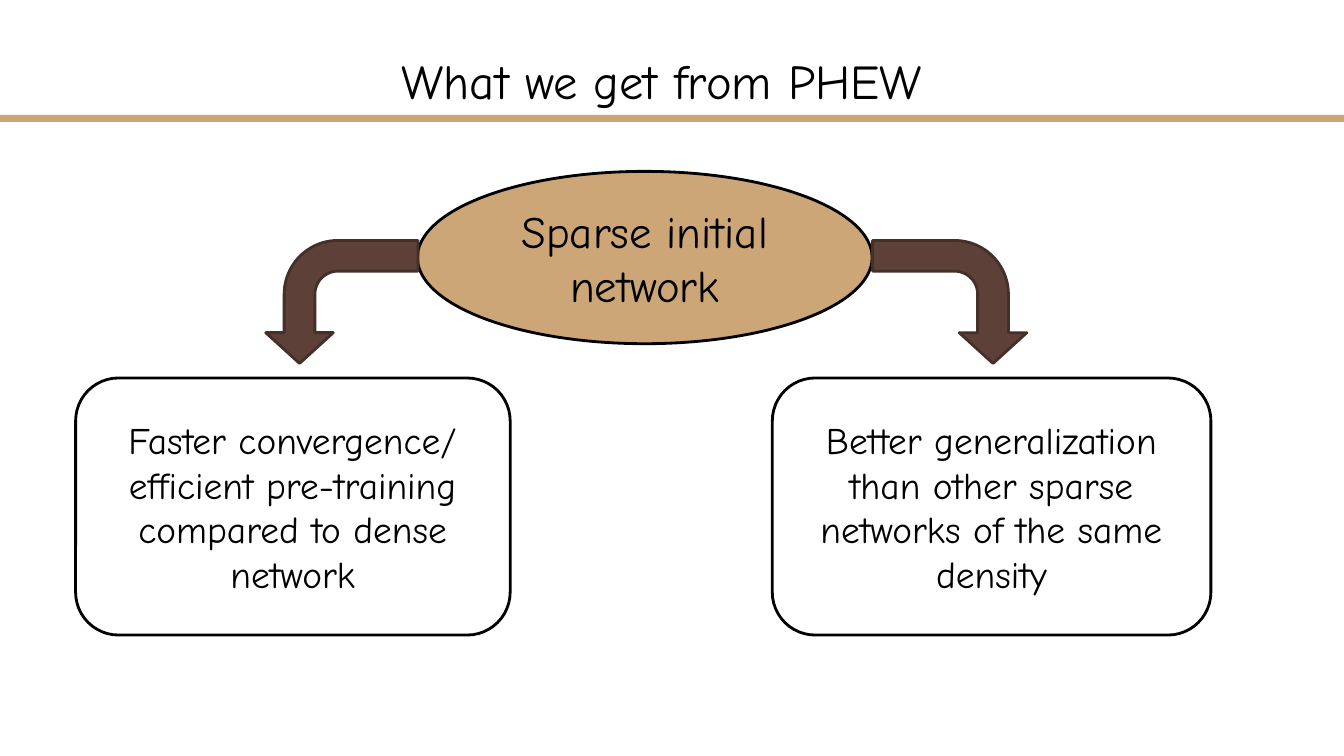
from pptx import Presentation
from pptx.dml.color import RGBColor
from pptx.enum.shapes import MSO_SHAPE
from pptx.enum.text import MSO_ANCHOR, PP_ALIGN
from pptx.oxml.ns import qn
from pptx.util import Inches, Pt

FONT = "Comic Neue"
TAN, BROWN, DARK_BROWN = "CCA677", "5D4037", "452F29"
BLACK, WHITE = "000000", "FFFFFF"
SLIDE_WIDTH, SLIDE_HEIGHT = 13.33, 7.5

TITLE = "What we get from PHEW"
SOURCE = "Sparse initial network"
BENEFITS = [
    {"text": "Faster convergence/\nefficient pre-training compared to dense network",
     "left": 0.75, "width": 4.31,
     "arrow": (2.78, 2.24, 1.22, 1.51), "flips": ("flipH",)},
    {"text": "Better generalization than other sparse networks of the same density",
     "left": 7.66, "width": 4.35,
     "arrow": (8.81, 2.23, 1.22, 1.53), "flips": ("flipH", "flipV")},
]
BENEFIT_TOP, BENEFIT_HEIGHT = 3.75, 2.55
ARROW_BENDS = (0.25, 0.275, 0.25, 0.4375)


def color(hex_code):
    return RGBColor.from_string(hex_code)


def write(shape, text, size, anchor=MSO_ANCHOR.MIDDLE, inset=None):
    frame = shape.text_frame
    frame.word_wrap = True
    frame.vertical_anchor = anchor
    if inset is not None:
        frame.margin_left = frame.margin_right = Inches(inset)
        frame.margin_top = frame.margin_bottom = Inches(inset)
    frame.text = text
    for paragraph in frame.paragraphs:
        paragraph.alignment = PP_ALIGN.CENTER
        paragraph.font.name = FONT
        paragraph.font.size = Pt(size)
        paragraph.font.color.rgb = color(BLACK)


def draw(preset, box, fill, line=None):
    shape = slide.shapes.add_shape(preset, *map(Inches, box))
    shape.shadow.inherit = False
    shape.fill.solid()
    shape.fill.fore_color.rgb = color(fill)
    if line:
        shape.line.color.rgb = color(line)
        shape.line.width = Pt(2)
    else:
        shape.line.fill.background()
    return shape


def draw_bent_arrow(box, flips):
    arrow = draw(MSO_SHAPE.BENT_ARROW, box, BROWN, DARK_BROWN)
    for index, bend in enumerate(ARROW_BENDS):
        arrow.adjustments[index] = bend
    arrow.rotation = 270
    for flip in flips:
        arrow._element.spPr.find(qn("a:xfrm")).set(flip, "1")


deck = Presentation()
deck.slide_width, deck.slide_height = Inches(SLIDE_WIDTH), Inches(SLIDE_HEIGHT)
slide = deck.slides.add_slide(deck.slide_layouts[6])

draw(MSO_SHAPE.RECTANGLE, (0, 1.14, SLIDE_WIDTH, 0.07), TAN)
title = slide.shapes.add_textbox(*map(Inches, (0, 0.16, 13.13, 1.05)))
write(title, TITLE, 34.7, anchor=MSO_ANCHOR.BOTTOM, inset=0.13)

source = draw(MSO_SHAPE.OVAL, (4.14, 1.7, 4.51, 1.71), TAN, BLACK)
write(source, SOURCE, 32)

for benefit in BENEFITS:
    draw_bent_arrow(benefit["arrow"], benefit["flips"])
    box = (benefit["left"], BENEFIT_TOP, benefit["width"], BENEFIT_HEIGHT)
    card = draw(MSO_SHAPE.ROUNDED_RECTANGLE, box, WHITE, BLACK)
    write(card, benefit["text"], 26.7)

deck.save("out.pptx")
